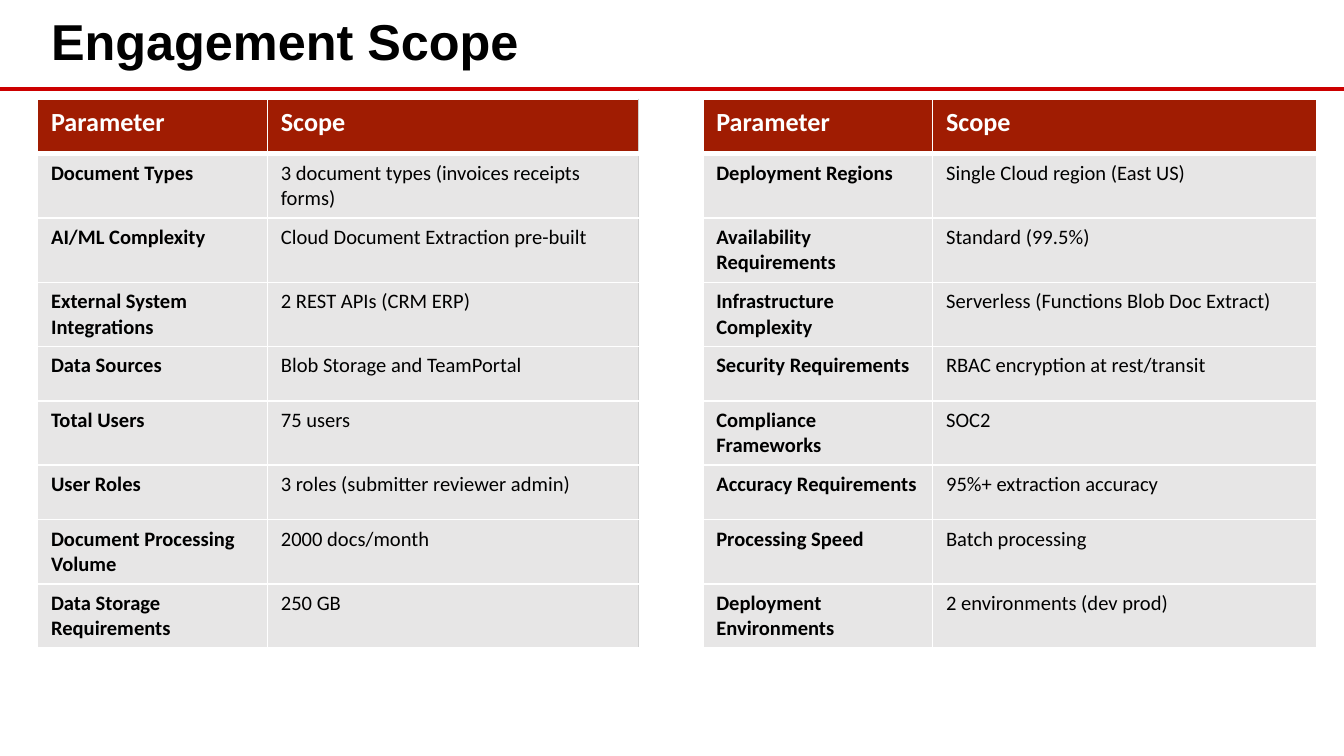
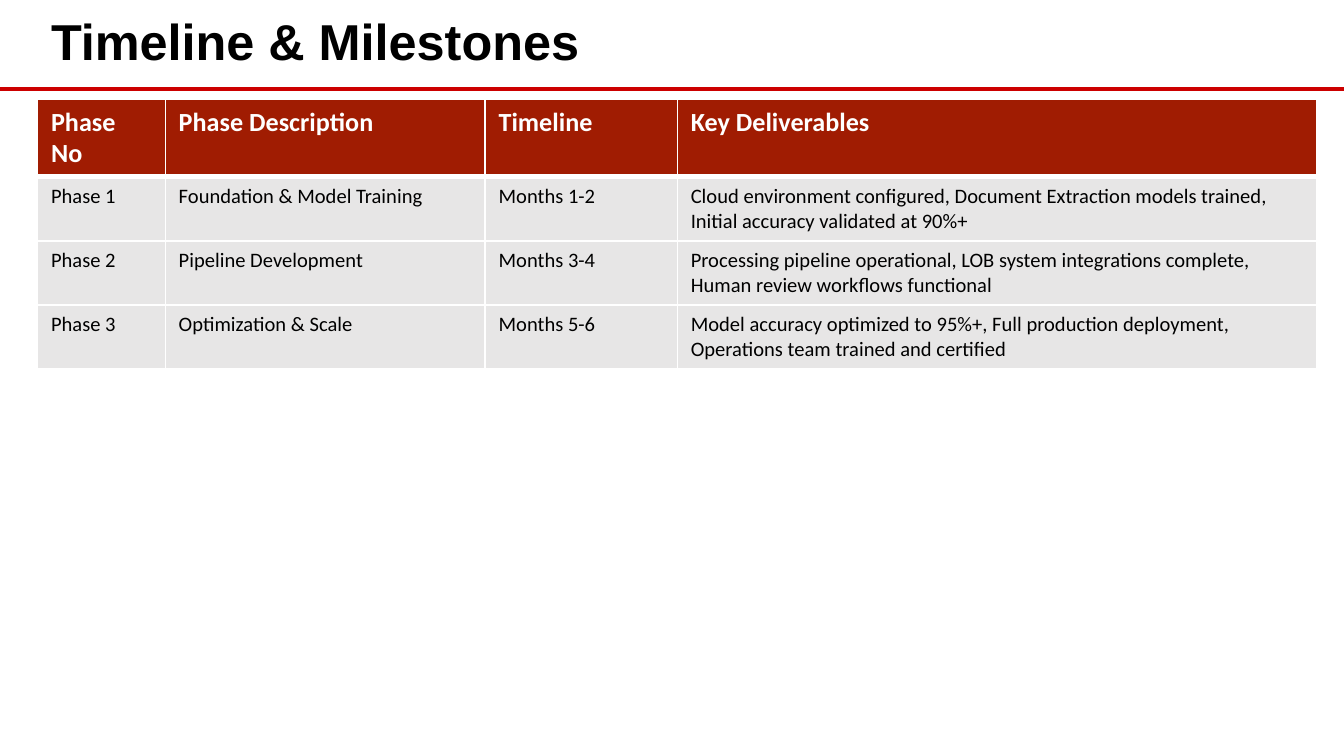
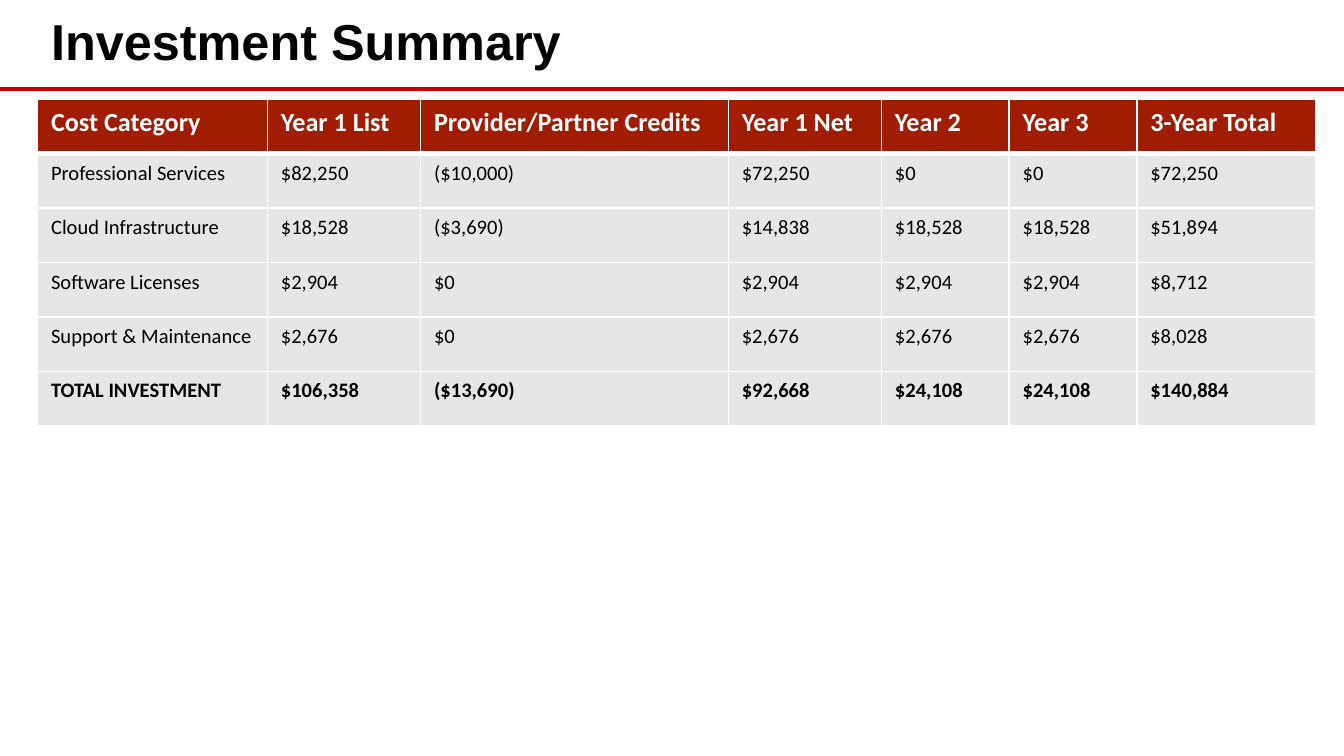
from dataclasses import dataclass

from lxml import etree
from pptx import Presentation
from pptx.dml.color import RGBColor
from pptx.enum import shapes, text
from pptx.oxml import ns
from pptx.util import Inches, Pt

# Shared look
BLACK = RGBColor(0x00, 0x00, 0x00)
WHITE = RGBColor(0xFF, 0xFF, 0xFF)
RULE_RED = RGBColor(0xCC, 0x00, 0x00)
HEADER_RED = RGBColor(0xA0, 0x1C, 0x02)
BODY_GRAY = RGBColor(0xE7, 0xE6, 0xE6)
SPACER_EDGE = RGBColor(0xD0, 0xD0, 0xD0)

TITLE_FONT = "Arial"
TABLE_FONT = "Calibri"
SLIDE_WIDTH = Inches(10)
SLIDE_HEIGHT = SLIDE_WIDTH * 9 // 16
LEFT, WIDTH = Inches(0.28), Inches(9.53)
TITLE_TOP, TITLE_HEIGHT = Inches(0.04), Inches(0.58)
RULE_TOP, TABLE_TOP = Inches(0.66), Inches(0.74)


@dataclass(frozen=True)
class TableSlide:
    title: str
    height: float
    columns: list[tuple[str, float]]  # heading and width; no heading makes a spacer
    rows: list[list[str]]
    bold_columns: tuple[int, ...] = ()
    bold_last_row: bool = False


# Content
TABLE_SLIDES = [
    TableSlide(
        "Engagement Scope",
        3.65,
        [("Parameter", 1.71), ("Scope", 2.76), ("", 0.48), ("Parameter", 1.71), ("Scope", 2.86)],
        [
            ["Document Types", "3 document types (invoices receipts forms)", "",
             "Deployment Regions", "Single Cloud region (East US)"],
            ["AI/ML Complexity", "Cloud Document Extraction pre-built", "",
             "Availability Requirements", "Standard (99.5%)"],
            ["External System Integrations", "2 REST APIs (CRM ERP)", "",
             "Infrastructure Complexity", "Serverless (Functions Blob Doc Extract)"],
            ["Data Sources", "Blob Storage and TeamPortal", "",
             "Security Requirements", "RBAC encryption at rest/transit"],
            ["Total Users", "75 users", "", "Compliance Frameworks", "SOC2"],
            ["User Roles", "3 roles (submitter reviewer admin)", "",
             "Accuracy Requirements", "95%+ extraction accuracy"],
            ["Document Processing Volume", "2000 docs/month", "",
             "Processing Speed", "Batch processing"],
            ["Data Storage Requirements", "250 GB", "",
             "Deployment Environments", "2 environments (dev prod)"],
        ],
        bold_columns=(0, 3),
    ),
    TableSlide(
        "Timeline & Milestones",
        1.62,
        [("Phase No", 0.95), ("Phase Description", 2.38), ("Timeline", 1.43),
         ("Key Deliverables", 4.76)],
        [
            ["Phase 1", "Foundation & Model Training", "Months 1-2",
             "Cloud environment configured, Document Extraction models trained, "
             "Initial accuracy validated at 90%+"],
            ["Phase 2", "Pipeline Development", "Months 3-4",
             "Processing pipeline operational, LOB system integrations complete, "
             "Human review workflows functional"],
            ["Phase 3", "Optimization & Scale", "Months 5-6",
             "Model accuracy optimized to 95%+, Full production deployment, "
             "Operations team trained and certified"],
        ],
    ),
    TableSlide(
        "Investment Summary",
        2.43,
        [("Cost Category", 1.71), ("Year 1 List", 1.14), ("Provider/Partner Credits", 2.29),
         ("Year 1 Net", 1.14), ("Year 2", 0.95), ("Year 3", 0.95), ("3-Year Total", 1.33)],
        [
            ["Professional Services", "$82,250", "($10,000)", "$72,250", "$0", "$0", "$72,250"],
            ["Cloud Infrastructure", "$18,528", "($3,690)", "$14,838", "$18,528", "$18,528",
             "$51,894"],
            ["Software Licenses", "$2,904", "$0", "$2,904", "$2,904", "$2,904", "$8,712"],
            ["Support & Maintenance", "$2,676", "$0", "$2,676", "$2,676", "$2,676", "$8,028"],
            ["TOTAL INVESTMENT", "$106,358", "($13,690)", "$92,668", "$24,108", "$24,108",
             "$140,884"],
        ],
        bold_last_row=True,
    ),
]


def format_run(r, font: str, size: float, color: RGBColor, bold: bool) -> None:
    r.font.name = font
    r.font.size = Pt(size)
    r.font.color.rgb = color
    r.font.bold = bold


def add_heading(slide, title: str) -> None:
    """Fill the title placeholder and draw the rule below it."""
    sp = slide.shapes.title
    sp.left, sp.top, sp.width, sp.height = LEFT, TITLE_TOP, WIDTH, TITLE_HEIGHT
    tf = sp.text_frame
    tf.text = title
    tf.vertical_anchor = text.MSO_ANCHOR.MIDDLE
    p = tf.paragraphs[0]
    p.alignment = text.PP_ALIGN.LEFT
    p.line_spacing = 0.9
    format_run(p.runs[0], TITLE_FONT, 27, BLACK, True)

    rule = slide.shapes.add_connector(
        shapes.MSO_CONNECTOR.STRAIGHT, 0, RULE_TOP, SLIDE_WIDTH, RULE_TOP)
    rule.line.color.rgb = RULE_RED
    rule.line.width = Pt(2.25)
    etree.SubElement(rule.element.spPr, ns.qn("a:effectLst"))


def add_border(cell, side: str, color: RGBColor, width: float) -> None:
    tc_pr = cell._tc.get_or_add_tcPr()
    ln = etree.SubElement(tc_pr, ns.qn(f"a:ln{side}"), w=str(Pt(width)))
    fill = etree.SubElement(ln, ns.qn("a:solidFill"))
    etree.SubElement(fill, ns.qn("a:srgbClr"), val=str(color))


def style_cell(cell, row: int, spacer: bool, bold: bool) -> None:
    header = row == 0
    # Borders come before the fill; a thick line parts header and body
    add_border(cell, "L", SPACER_EDGE if spacer else WHITE, 1)
    add_border(cell, "R", WHITE, 1)
    add_border(cell, "T", WHITE, 3 if row == 1 else 1)
    add_border(cell, "B", WHITE, 3 if header else 1)
    cell.fill.solid()
    cell.fill.fore_color.rgb = WHITE if spacer else HEADER_RED if header else BODY_GRAY
    for r in cell.text_frame.paragraphs[0].runs:
        format_run(r, TABLE_FONT, 14 if header else 11, WHITE if header else BLACK, bold)


def add_data_table(slide, data: TableSlide) -> None:
    headings = [heading for heading, _ in data.columns]
    rows = [headings, *data.rows]
    table = slide.shapes.add_table(
        len(rows), len(headings), LEFT, TABLE_TOP, WIDTH, Inches(data.height)).table
    table.horz_banding = False
    for column, (_, width) in zip(table.columns, data.columns):
        column.width = Inches(width)
    for i, row in enumerate(rows):
        for j, value in enumerate(row):
            cell = table.cell(i, j)
            if value:
                cell.text_frame.text = value
            last = data.bold_last_row and i == len(rows) - 1
            style_cell(cell, i, not headings[j], i == 0 or last or j in data.bold_columns)


def main() -> None:
    prs = Presentation()
    prs.slide_width, prs.slide_height = SLIDE_WIDTH, SLIDE_HEIGHT
    title_only = prs.slide_layouts[5]
    for data in TABLE_SLIDES:
        slide = prs.slides.add_slide(title_only)
        add_heading(slide, data.title)
        add_data_table(slide, data)
    prs.save("out.pptx")


if __name__ == "__main__":
    main()
